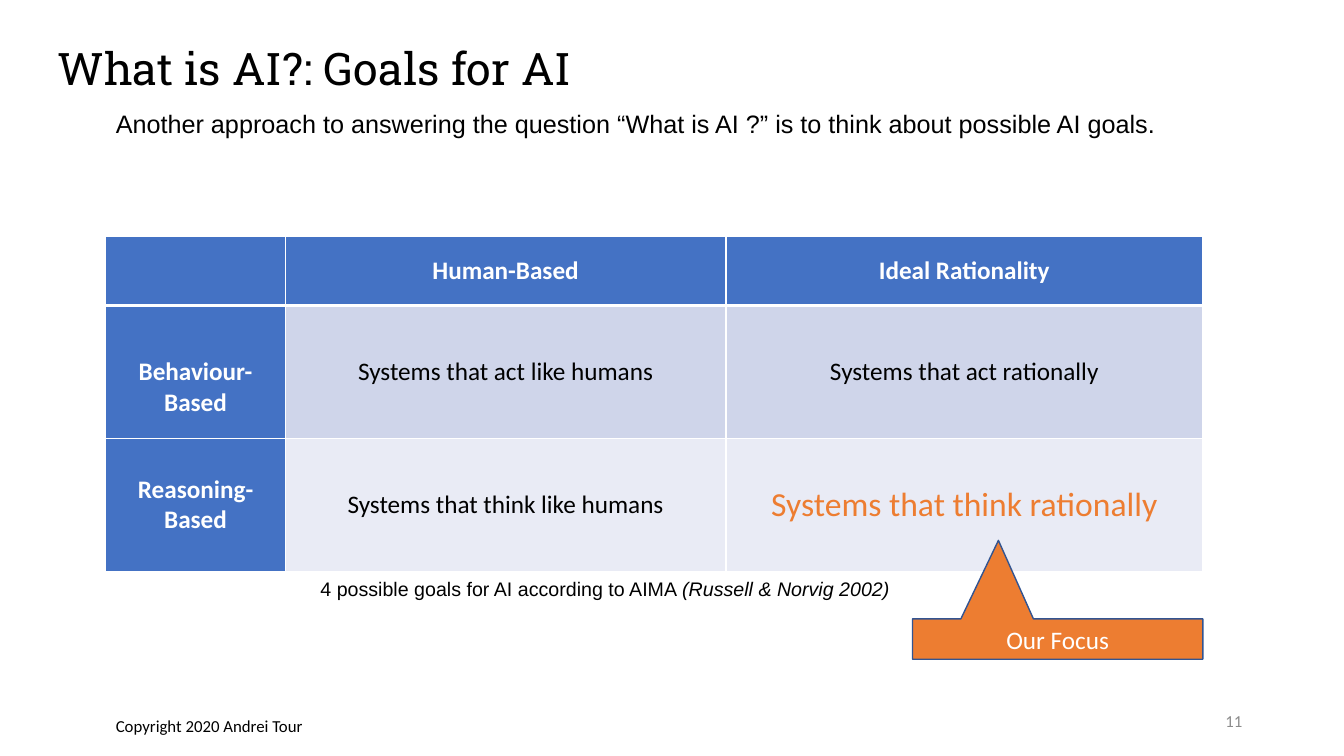
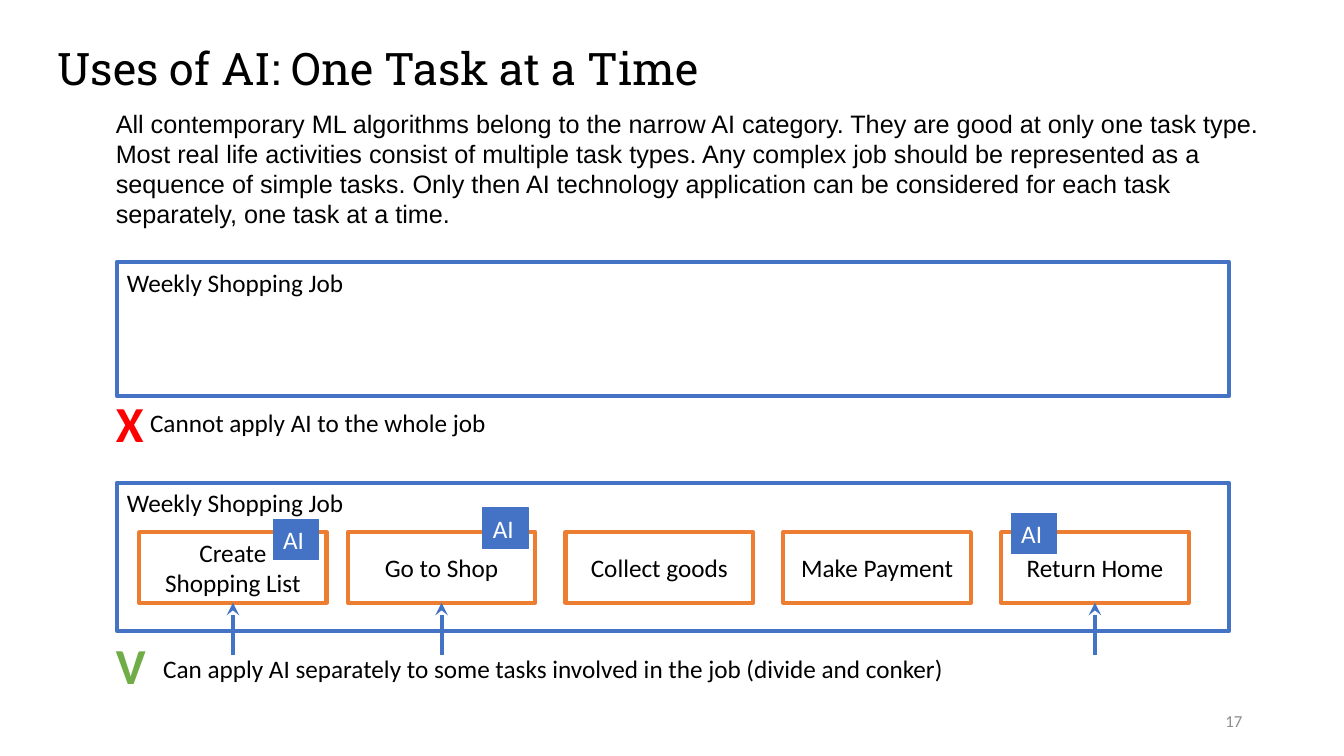
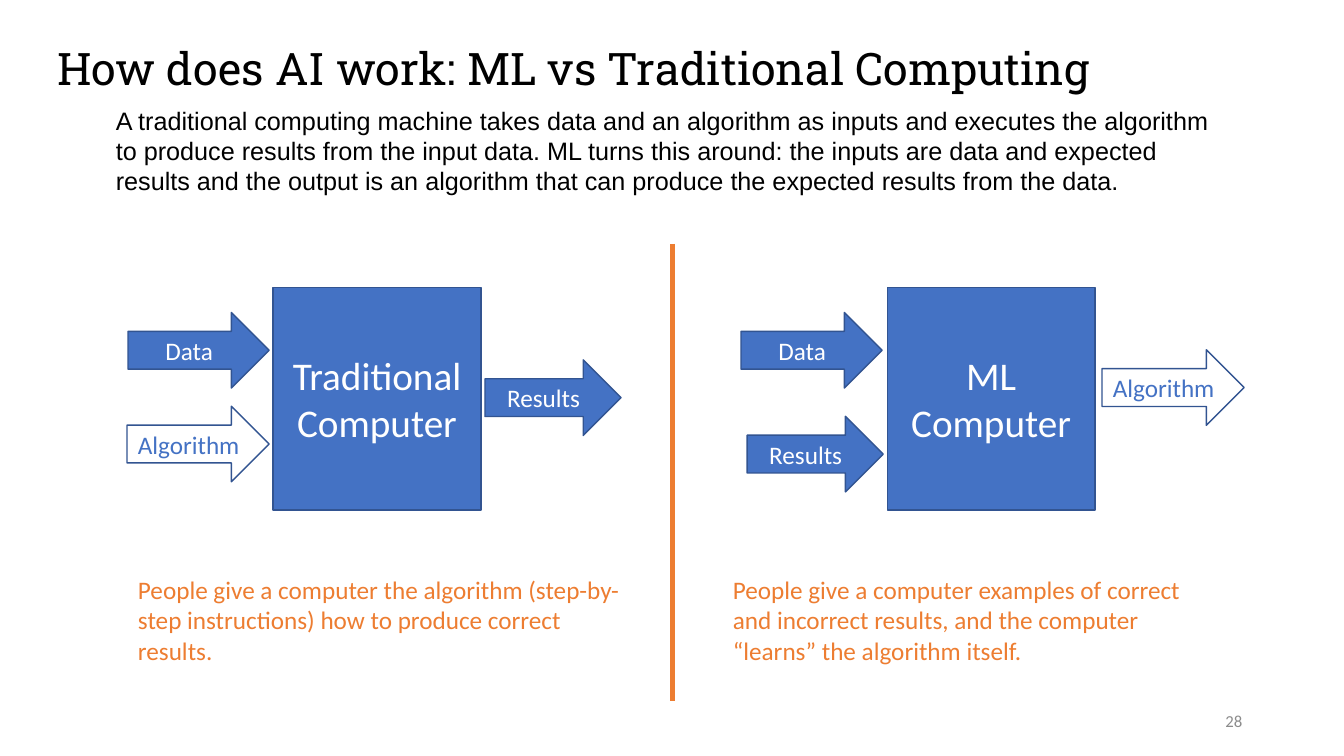
from dataclasses import dataclass

from lxml.etree import SubElement
from pptx import Presentation
from pptx.dml.color import RGBColor
from pptx.enum.shapes import MSO_CONNECTOR, MSO_SHAPE
from pptx.enum.text import MSO_ANCHOR, MSO_AUTO_SIZE, PP_ALIGN
from pptx.oxml import parse_xml
from pptx.oxml.ns import nsdecls, qn
from pptx.util import Inches, Pt

BLUE, NAVY, ORANGE, GREEN, RED = "4472C4", "325491", "ED7D31", "70AD47", "FF0000"
BLACK, WHITE, GREY = "000000", "FFFFFF", "8C8C8C"
BAND_DARK, BAND_LIGHT = "CFD5EA", "E9EBF5"
TITLE_FONT, BODY_FONT, LABEL_FONT = "Roboto Slab", "Arial", "Calibri"
MARGIN = 1.05


@dataclass(frozen=True)
class Box:
    x: float
    y: float
    w: float
    h: float

    def lengths(self):
        return [Inches(v) for v in (self.x, self.y, self.w, self.h)]


@dataclass(frozen=True)
class Style:
    size: float = 18
    color: str = BLACK
    font: str = LABEL_FONT
    bold: bool = False
    align: PP_ALIGN = PP_ALIGN.LEFT
    anchor: MSO_ANCHOR = MSO_ANCHOR.TOP


@dataclass(frozen=True)
class Task:
    name: str
    x: float
    tag: tuple | None = None


@dataclass(frozen=True)
class Arrow:
    text: str
    x: float
    y: float
    w: float
    hollow: bool = False


@dataclass(frozen=True)
class Panel:
    machine: str
    x: float
    arrows: tuple
    caption: str
    caption_x: float


BODY = Style(font=BODY_FONT)
LABEL = Style(anchor=MSO_ANCHOR.MIDDLE)
CENTRED = Style(align=PP_ALIGN.CENTER, anchor=MSO_ANCHOR.MIDDLE)
ON_FILL = Style(color=WHITE, align=PP_ALIGN.CENTER, anchor=MSO_ANCHOR.MIDDLE)


def rgb(color: str) -> RGBColor:
    return RGBColor.from_string(color)


def format_paragraph(p, style: Style):
    p.alignment = style.align
    p.font.size = Pt(style.size)
    p.font.name = style.font
    p.font.bold = style.bold
    p.font.color.rgb = rgb(style.color)


def write(tf, text: str, style: Style):
    tf.word_wrap = True
    tf.vertical_anchor = style.anchor
    p = tf.paragraphs[0]
    p.add_run().text = text
    format_paragraph(p, style)
    return p


def add_text(s, box: Box, text: str, style: Style = LABEL):
    tf = s.shapes.add_textbox(*box.lengths()).text_frame
    return write(tf, text, style)


def add_box(s, box: Box, text: str, style: Style, fill: str | None = None,
            line: str = NAVY, width: float = 1, kind=MSO_SHAPE.RECTANGLE):
    sp = s.shapes.add_shape(kind, *box.lengths())
    sp.shadow.inherit = False
    if fill:
        sp.fill.solid()
        sp.fill.fore_color.rgb = rgb(fill)
    else:
        sp.fill.background()
    sp.line.color.rgb = rgb(line)
    sp.line.width = Pt(width)
    write(sp.text_frame, text, style)
    return sp


def add_line(s, x: float, y1: float, y2: float, color: str):
    cn = s.shapes.add_connector(MSO_CONNECTOR.STRAIGHT, Inches(x), Inches(y1),
                                Inches(x), Inches(y2))
    cn.line.color.rgb = rgb(color)
    cn.line.width = Pt(3)
    SubElement(cn._element.spPr, qn("a:effectLst"))
    return cn


def add_slide(prs, title: str, body: str, body_box: Box, number: int):
    s = prs.slides.add_slide(prs.slide_layouts[5])
    sp = s.shapes.title
    sp.left, sp.top, sp.width, sp.height = Box(0.47, 0.47, 12.4, 0.47).lengths()
    tf = sp.text_frame
    p = write(tf, title, Style(32, font=TITLE_FONT, anchor=MSO_ANCHOR.MIDDLE))
    p.line_spacing = 0.9
    tf.auto_size = MSO_AUTO_SIZE.NONE
    tf = s.shapes.add_textbox(*body_box.lengths()).text_frame
    tf.margin_top = tf.margin_bottom = Inches(0.1)
    write(tf, body, BODY)
    add_text(s, Box(9.42, 6.95, 3, 0.4), str(number),
             Style(12, GREY, align=PP_ALIGN.RIGHT, anchor=MSO_ANCHOR.MIDDLE))
    return s


def set_borders(cell, bottom: float):
    tc_pr = cell._tc.get_or_add_tcPr()
    for i, side in enumerate("LRTB"):
        width = Pt(bottom if side == "B" else 1)
        tc_pr.insert(i, parse_xml(
            f'<a:ln{side} {nsdecls("a")} w="{width}"><a:solidFill>'
            f'<a:srgbClr val="{WHITE}"/></a:solidFill></a:ln{side}>'))


def add_goal_table(s):
    rows = (("", "Human-Based", "Ideal Rationality"),
            ("Behaviour-Based", "Systems that act like humans", "Systems that act rationally"),
            ("Reasoning-Based", "Systems that think like humans", "Systems that think rationally"))
    frame = s.shapes.add_table(3, 3, *Box(MARGIN, 2.35, 10.88, 3.32).lengths())
    table = frame.table
    for col, width in zip(table.columns, (1.78, 4.37, 4.73)):
        col.width = Inches(width)
    for row, height in zip(table.rows, (0.68, 1.32, 1.32)):
        row.height = Inches(height)
    for i, texts in enumerate(rows):
        for j, text in enumerate(texts):
            cell = table.cell(i, j)
            header = i == 0 or j == 0
            focus = i == j == 2
            cell.fill.solid()
            cell.fill.fore_color.rgb = rgb(BLUE if header else (BAND_DARK, BAND_LIGHT)[i - 1])
            set_borders(cell, 3 if i == 0 else 1)
            cell.vertical_anchor = MSO_ANCHOR.MIDDLE
            p = cell.text_frame.paragraphs[0]
            p.text = text
            format_paragraph(p, Style(
                24 if focus else 18,
                WHITE if header else ORANGE if focus else BLACK,
                bold=header, align=PP_ALIGN.CENTER))
    table.cell(1, 0).margin_top = Inches(0.35)


def build_goals(prs):
    s = add_slide(prs, "What is AI?: Goals for AI",
                  "Another approach to answering the question “What is AI ?” is to think "
                  "about possible AI goals.", Box(MARGIN, 0.97, 11.56, 0.54), 11)
    add_goal_table(s)
    p = add_text(s, Box(3.08, 5.67, 6.8, 0.34),
                 "4 possible goals for AI according to AIMA ", Style(14, font=BODY_FONT))
    r = p.add_run()
    r.text = "(Russell & Norvig 2002)"
    r.font.italic = True
    callout = add_box(s, Box(9.05, 6.14, 2.88, 0.4), "Our Focus", ON_FILL, ORANGE,
                      kind=MSO_SHAPE.RECTANGULAR_CALLOUT)
    callout.adjustments[0] = -0.204
    callout.adjustments[1] = -2.447
    add_text(s, Box(MARGIN, 7.05, 2.18, 0.3), "Copyright 2020 Andrei Tour", Style(12))


def add_verdict(s, mark: str, color: str, y: float, text: str, box: Box):
    p = add_text(s, Box(MARGIN, y, 0.56, 0.71), mark, Style(36, color, bold=True))
    p._parent.word_wrap = False
    add_text(s, box, text)


def build_tasks(prs):
    s = add_slide(prs, "Uses of AI: One Task at a Time",
                  "All contemporary ML algorithms belong to the narrow AI category. They are "
                  "good at only one task type. Most real life activities consist of multiple "
                  "task types. Any complex job should be represented as a sequence of simple "
                  "tasks. Only then AI technology application can be considered for each task "
                  "separately, one task at a time.", Box(MARGIN, 0.97, 11.56, 1.47), 17)
    for y, h in ((2.6, 1.33), (4.79, 1.47)):
        add_box(s, Box(1.16, y, 11.03, h), "Weekly Shopping Job", Style(), line=BLUE, width=3)
    add_verdict(s, "X", RED, 3.84, "Cannot apply AI to the whole job",
                Box(1.39, 3.99, 3.75, 0.4))
    add_verdict(s, "V", GREEN, 6.24,
                "Can apply AI separately to some tasks involved in the job (divide and conker)",
                Box(1.52, 6.43, 8.72, 0.4))
    start, step, width = 3.45, 2.16, 1.86
    tasks = (Task("Create Shopping List", 1.38, (2.71, 5.15)),
             Task("Go to Shop", start, (4.79, 5.04)),
             Task("Collect goods", start + step),
             Task("Make Payment", start + 2 * step),
             Task("Return Home", start + 3 * step, (10.03, 5.09)))
    for task in tasks:
        sp = add_box(s, Box(task.x, 5.28, width, 0.7), task.name, CENTRED,
                     line=ORANGE, width=3)
        if task.tag:
            cn = add_line(s, task.x + width / 2, 6.5, 5.98, BLUE)
            cn.end_connect(sp, 2)
            SubElement(cn.line._get_or_add_ln(), qn("a:tailEnd"), type="stealth")
            add_box(s, Box(*task.tag, 0.45, 0.4), "AI", Style(color=WHITE), BLUE, BLUE, 0.75)


def build_computing(prs):
    s = add_slide(prs, "How does AI work: ML vs Traditional Computing",
                  "A traditional computing machine takes data and an algorithm as inputs and "
                  "executes the algorithm to produce results from the input data. ML turns this "
                  "around: the inputs are data and expected results and the output is an "
                  "algorithm that can produce the expected results from the data.",
                  Box(MARGIN, 0.94, 11.29, 1.13), 28)
    add_line(s, 6.67, 2.42, 6.95, ORANGE)
    panels = (
        Panel("Traditional Computer", 2.71,
              (Arrow("Data", 1.27, 3.1, 1.4),
               Arrow("Algorithm", 1.26, 4.03, 1.41, True),
               Arrow("Results", 4.81, 3.57, 1.35)),
              "People give a computer the algorithm (step-by-step instructions) how to "
              "produce correct results.", 1.27),
        Panel("ML Computer", 8.8,
              (Arrow("Data", 7.35, 3.1, 1.4),
               Arrow("Results", 7.41, 4.13, 1.35),
               Arrow("Algorithm", 10.93, 3.47, 1.41, True)),
              "People give a computer examples of correct and incorrect results, and the "
              "computer “learns” the algorithm itself.", 7.17))
    for panel in panels:
        add_box(s, Box(panel.x, 2.85, 2.06, 2.21), panel.machine,
                Style(28, WHITE, align=PP_ALIGN.CENTER, anchor=MSO_ANCHOR.MIDDLE), BLUE)
        for arrow in panel.arrows:
            style = Style(color=BLUE if arrow.hollow else WHITE,
                          align=PP_ALIGN.CENTER, anchor=MSO_ANCHOR.MIDDLE)
            add_box(s, Box(arrow.x, arrow.y, arrow.w, 0.75), arrow.text, style,
                    None if arrow.hollow else BLUE, kind=MSO_SHAPE.RIGHT_ARROW)
        add_text(s, Box(panel.caption_x, 5.65, 4.99, 1.01), panel.caption, Style(color=ORANGE))


def main():
    prs = Presentation()
    prs.slide_width, prs.slide_height = Inches(13.33), Inches(7.5)
    for build in (build_goals, build_tasks, build_computing):
        build(prs)
    prs.save("out.pptx")


if __name__ == "__main__":
    main()
